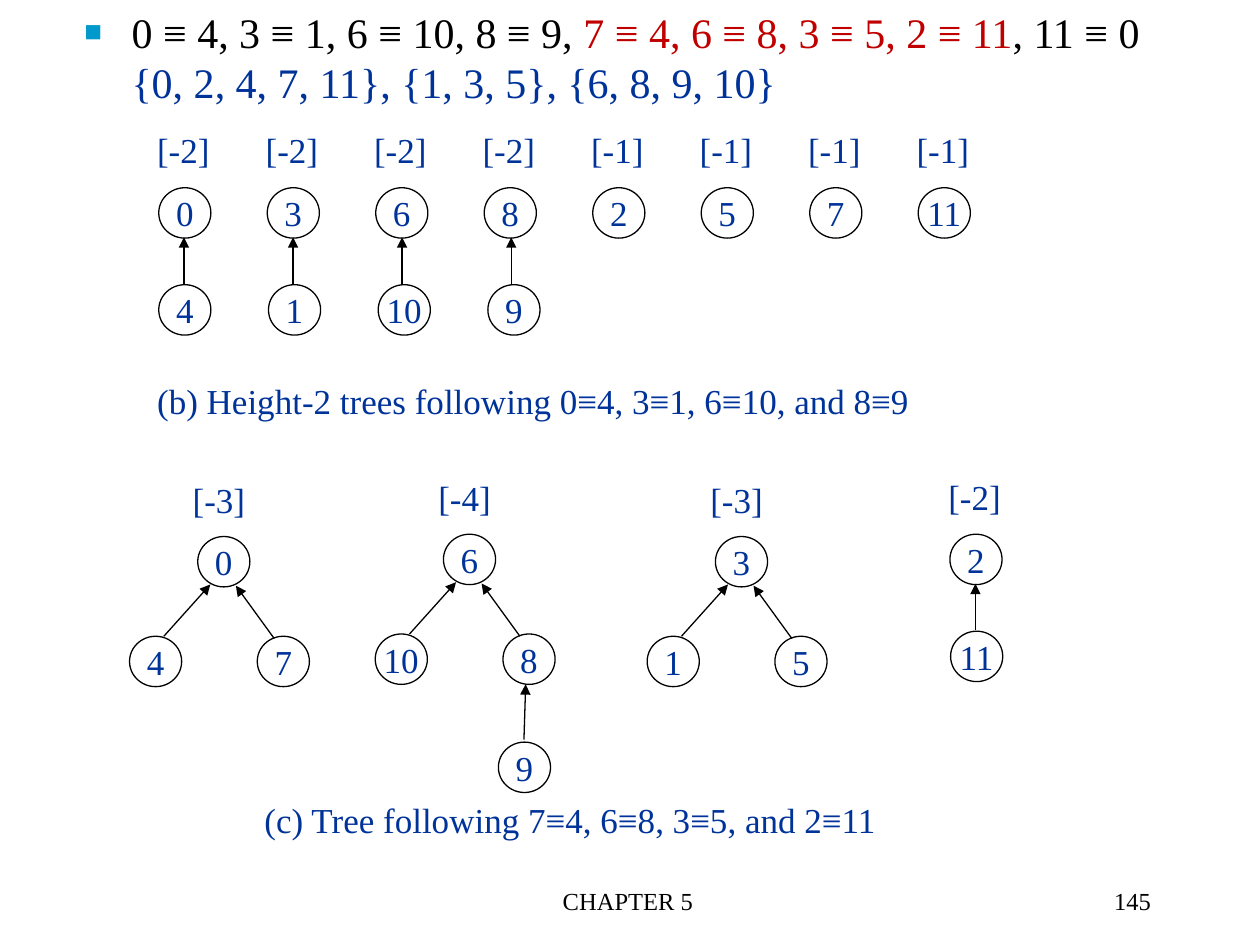
from lxml.etree import SubElement
from pptx import Presentation
from pptx.dml.color import RGBColor
from pptx.enum.shapes import MSO_CONNECTOR, MSO_SHAPE
from pptx.enum.text import MSO_ANCHOR, MSO_AUTO_SIZE, PP_ALIGN
from pptx.oxml.ns import qn
from pptx.util import Pt

FONT = "Times New Roman"
BLACK, BLUE, RED, WHITE = "000000", "003399", "C00000", "FFFFFF"
NODE_W, NODE_H = 29.8, 28.8


def color(hex_text):
    return RGBColor.from_string(hex_text)


def set_font(font, size, hex_text):
    font.name, font.size = FONT, Pt(size)
    font.color.rgb = color(hex_text)


def add_text(shapes, text, left, top, width, height=31.7, size=20,
             ink=BLUE, align=PP_ALIGN.LEFT):
    box = shapes.add_textbox(Pt(left), Pt(top), Pt(width), Pt(height))
    box.text_frame.word_wrap = True
    para = box.text_frame.paragraphs[0]
    para.text, para.alignment = text, align
    set_font(para.font, size, ink)


def add_node(shapes, text, left, top, filled=False):
    node = shapes.add_shape(MSO_SHAPE.OVAL, Pt(left), Pt(top),
                            Pt(NODE_W), Pt(NODE_H))
    node.shadow.inherit = False
    if filled:
        node.fill.solid()
        node.fill.fore_color.rgb = color(WHITE)
    else:
        node.fill.background()
    node.line.color.rgb, node.line.width = color(BLACK), Pt(0.75)
    frame = node.text_frame
    frame.word_wrap, frame.vertical_anchor = False, MSO_ANCHOR.MIDDLE
    para = frame.paragraphs[0]
    para.text, para.alignment = text, PP_ALIGN.CENTER
    set_font(para.font, 20, BLUE)


def add_arrow(shapes, x1, y1, x2, y2):
    arrow = shapes.add_connector(MSO_CONNECTOR.STRAIGHT,
                                 Pt(x1), Pt(y1), Pt(x2), Pt(y2))
    arrow.line.color.rgb, arrow.line.width = color(BLACK), Pt(0.75)
    props = arrow.element.spPr
    SubElement(props.find(qn("a:ln")), qn("a:tailEnd"), type="triangle")
    SubElement(props, qn("a:effectLst"))


def draw_chain(shapes, left, top, count, root, child=None, shift=0):
    """A root under its count, with at most one child below it."""
    add_text(shapes, count, left - 8, top - 37.4, 50)
    add_node(shapes, root, left, top)
    if child:
        add_node(shapes, child, left + shift, top + 55.4, filled=True)
        x = left + 14.4 + shift / 2
        add_arrow(shapes, x, top + 54.7, x, top + 28.3)


def draw_fork(shapes, left, top, count, root, first, second, grandchild=None):
    """A root under its count, with two children and maybe a grandchild."""
    add_text(shapes, count, left - 10, top - 36.7, 50)
    add_node(shapes, root, left, top)
    add_node(shapes, first, left - 39, top + 57)
    add_arrow(shapes, left - 19.4, top + 57, left + 7.2, top + 27.4)
    add_node(shapes, second, left + 34, top + 57, filled=True)
    add_arrow(shapes, left + 43.7, top + 58.3, left + 21.8, top + 28.1)
    if grandchild:
        add_node(shapes, grandchild, left + 31.4, top + 118.8, filled=True)
        add_arrow(shapes, left + 46, top + 117.4, left + 47, top + 85.7)


def draw_relations(page, left, top, width, height):
    body = page.placeholders[1]
    body.left, body.top = Pt(left), Pt(top)
    body.width, body.height = Pt(width), Pt(height)
    frame = body.text_frame
    frame.auto_size, frame.vertical_anchor = MSO_AUTO_SIZE.NONE, MSO_ANCHOR.TOP
    para = frame.paragraphs[0]
    para.space_before = Pt(0)
    # Square bullet with a hanging indent
    props = para._p.get_or_add_pPr()
    props.set("marL", str(Pt(27)))
    props.set("indent", str(Pt(-27)))
    tint = SubElement(props, qn("a:buClr"))
    SubElement(tint, qn("a:srgbClr"), val="0099CC")
    SubElement(props, qn("a:buSzPct"), val="70000")
    SubElement(props, qn("a:buChar"), char="■")
    set_font(para.font, 24, BLACK)
    for text, ink in (("0 ≡ 4, 3 ≡ 1, 6 ≡ 10, 8 ≡ 9, ", BLACK),
                      ("7 ≡ 4, 6 ≡ 8, 3 ≡ 5, 2 ≡ 11", RED),
                      (", 11 ≡ 0", BLACK),
                      ("{0, 2, 4, 7, 11}, {1, 3, 5}, {6, 8, 9, 10}", BLUE)):
        if ink == BLUE:
            para.add_line_break()
        span = para.add_run()
        span.text = text
        set_font(span.font, 24, ink)


def draw_height_two(page, left, top):
    shapes = page.shapes.add_group_shape().shapes
    pairs = (("0", "4"), ("3", "1"), ("6", "10"), ("8", "9"),
             ("2", None), ("5", None), ("7", None), ("11", None))
    for i, (root, child) in enumerate(pairs):
        draw_chain(shapes, left + 62 * i, top, "[-2]" if child else "[-1]",
                   root, child, shift=0.7 * i)
    add_text(shapes, "(b) Height-2 trees following 0≡4, 3≡1, 6≡10, and 8≡9",
             left - 8, top + 105.8, 528)


def draw_merged(page, left, top):
    shapes = page.shapes.add_group_shape().shapes
    draw_fork(shapes, left, top + 1.3, "[-3]", "0", "4", "7")
    draw_fork(shapes, left + 140.4, top, "[-4]", "6", "10", "8", "9")
    draw_fork(shapes, left + 295.8, top + 1.3, "[-3]", "3", "1", "5")
    draw_chain(shapes, left + 429.8, top, "[-2]", "2", "11", shift=0.4)
    add_text(shapes, "(c) Tree following 7≡4, 6≡8, 3≡5, and 2≡11",
             left + 31, top + 147.6, 459)


def draw_footer(page, top):
    add_text(page.shapes, "CHAPTER 5", 244.8, top, 228, 36, 14, BLACK,
             PP_ALIGN.CENTER)
    add_text(page.shapes, "145", 514.8, top, 150, 36, 14, BLACK,
             PP_ALIGN.RIGHT)


def main():
    deck = Presentation()
    deck.slide_width, deck.slide_height = Pt(720), Pt(540)
    page = deck.slides.add_slide(deck.slide_layouts[1])
    title = page.shapes.title.element
    title.getparent().remove(title)
    draw_footer(page, 502.6)
    draw_height_two(page, 90.7, 107.3)
    draw_merged(page, 113, 305.3)
    draw_relations(page, 41, 0, 644.4, 108)
    deck.save("out.pptx")


if __name__ == "__main__":
    main()
